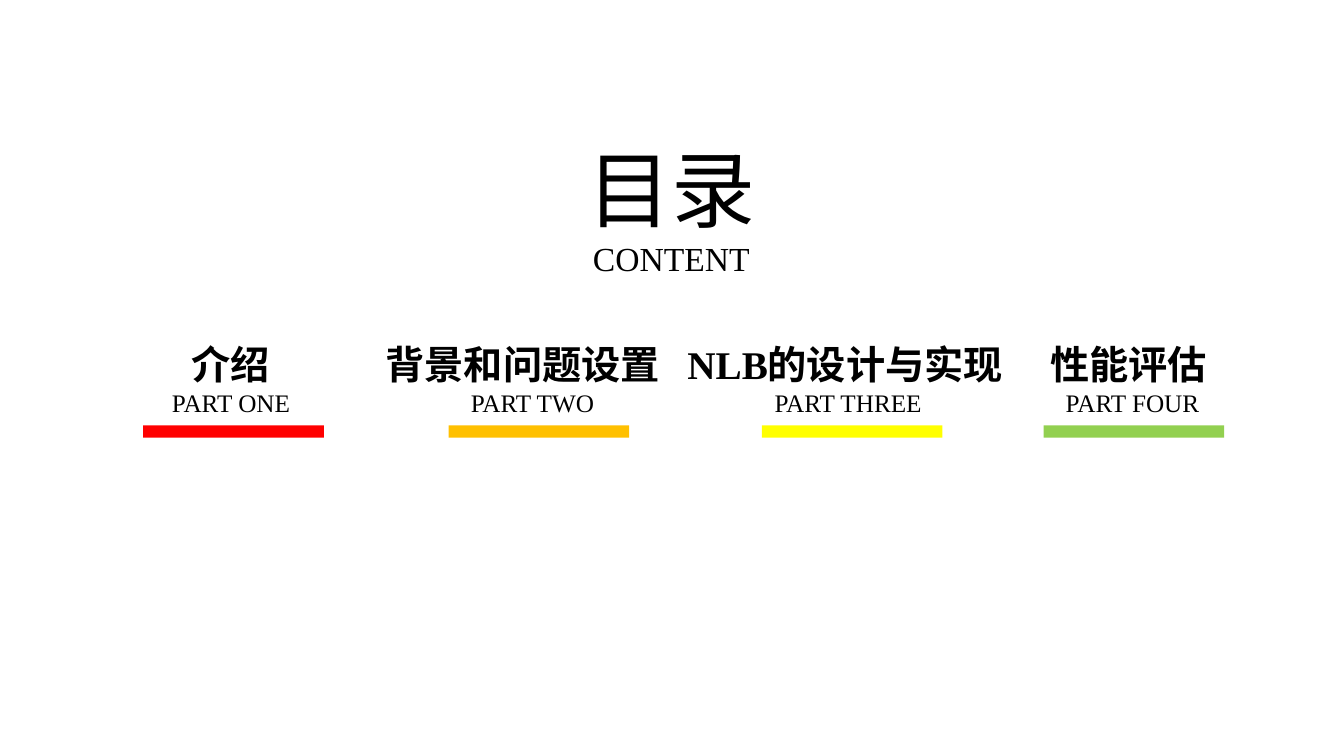
import pptx
import pptx.util
import pptx.dml.color
import pptx.enum.shapes
import pptx.enum.text

Pt = pptx.util.Pt
Color = pptx.dml.color.RGBColor
BLACK = Color(0, 0, 0)
RED = Color(0xFF, 0, 0)
ORANGE = Color(0xFF, 0xC0, 0)
YELLOW = Color(0xFF, 0xFF, 0)
GREEN = Color(0x92, 0xD0, 0x50)

FACE = "Times New Roman"
TITLE = {"name": FACE, "size": Pt(60), "bold": False}
SUB = {"name": FACE, "size": Pt(24), "bold": False}
HEAD = {"name": FACE, "size": Pt(28), "bold": True}
LABEL = {"name": FACE, "size": Pt(18), "bold": False}

BAR_WIDTH, BAR_HEIGHT = 129, 8.7
TEXT_WIDTH = 270
PARTS_TOP = 229.7
# heading, label, colour, bar left, shift of heading and label from bar centre
PARTS = [
    ("介绍", "PART ONE", RED, 102.3, -1.8, -1.8),
    ("背景和问题设置", "PART TWO", ORANGE, 320.4, -11.5, -4.6),
    ("NLB的设计与实现", "PART THREE", YELLOW, 544.2, -5.1, -2.9),
    ("性能评估", "PART FOUR", GREEN, 745.4, -3.9, -1),
]


def write(para, text, style, spacing=1.0):
    para.alignment = pptx.enum.text.PP_ALIGN.CENTER
    para.line_spacing = spacing
    run = para.add_run()
    run.text = text
    run.font.color.rgb = BLACK
    for key, value in style.items():
        setattr(run.font, key, value)


def add_title(slide, left, top, width, height):
    title = slide.shapes.title
    box = {"left": left, "top": top, "width": width, "height": height}
    for key, value in box.items():
        setattr(title, key, Pt(value))
    frame = title.text_frame
    frame.word_wrap = False
    frame.auto_size = pptx.enum.text.MSO_AUTO_SIZE.NONE
    frame.vertical_anchor = pptx.enum.text.MSO_ANCHOR.TOP
    write(frame.paragraphs[0], "目录", TITLE)
    write(frame.add_paragraph(), "CONTENT", SUB)


def add_line(slide, centre, top, height, text, style):
    """Add one line of text centred on a given x."""
    box = slide.shapes.add_textbox(
        Pt(centre - TEXT_WIDTH / 2), Pt(top), Pt(TEXT_WIDTH), Pt(height))
    box.text_frame.word_wrap = True
    write(box.text_frame.paragraphs[0], text, style, 1.3)


def add_part(slide, left, top, part):
    """Add a heading, its label and the bar below them."""
    head, label, color, head_shift, label_shift = part
    centre = left + BAR_WIDTH / 2
    add_line(slide, centre + head_shift, top, 46.8, head, HEAD)
    add_line(slide, centre + label_shift, top + 36.7, 35.3, label, LABEL)
    bar = slide.shapes.add_shape(
        pptx.enum.shapes.MSO_SHAPE.RECTANGLE,
        Pt(left), Pt(top + 74.2), Pt(BAR_WIDTH), Pt(BAR_HEIGHT))
    bar.shadow.inherit = False
    bar.fill.solid()
    bar.fill.fore_color.rgb = color
    bar.line.fill.background()


def main():
    deck = pptx.Presentation()
    deck.slide_width, deck.slide_height = Pt(960), Pt(540)
    slide = deck.slides.add_slide(deck.slide_layouts[5])
    add_title(slide, 411.8, 94.3, 135.4, 108.7)
    for head, label, color, left, head_shift, label_shift in PARTS:
        add_part(slide, left, PARTS_TOP,
                 (head, label, color, head_shift, label_shift))
    deck.save("out.pptx")


if __name__ == "__main__":
    main()
